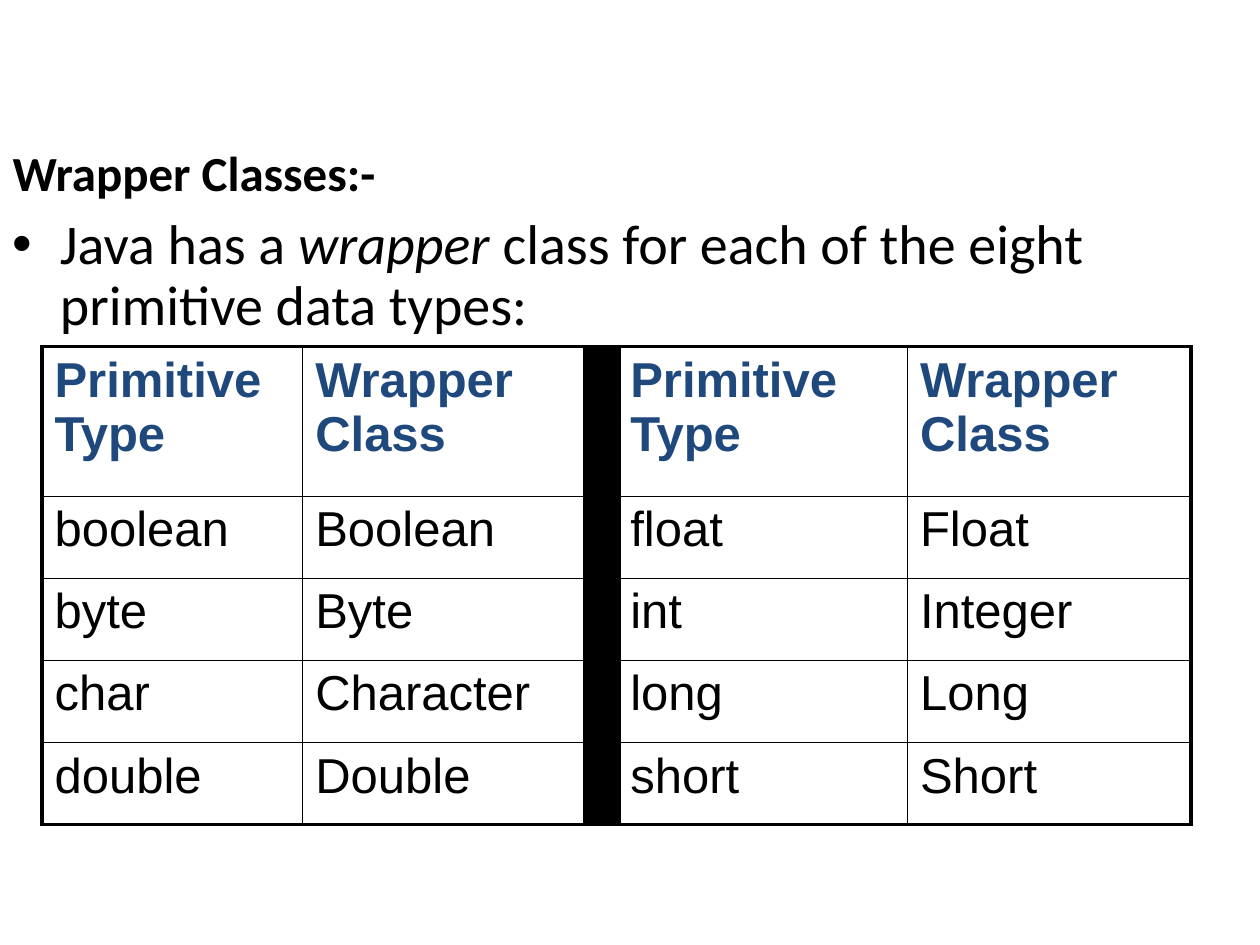
from dataclasses import dataclass

import pptx
import pptx.dml.color
import pptx.enum.text
import pptx.oxml
import pptx.oxml.ns
import pptx.util

Pt = pptx.util.Pt


@dataclass(frozen=True)
class Theme:
    ink: str = "000000"
    heading: str = "1F497D"
    text_font: str = "Calibri"
    table_font: str = "Arial"
    title_size: float = 28
    body_size: float = 32
    table_size: float = 28


@dataclass(frozen=True)
class Box:
    left: float
    top: float
    width: float
    height: float


@dataclass(frozen=True)
class TypePair:
    primitive: str
    wrapper: str


THEME = Theme()
TITLE_BOX = Box(0, 78, 720, 41)
BODY_BOX = Box(0, 120, 720, 78)
TABLE_BOX = Box(24, 198, 656.6, 273.2)
COLUMN_WIDTHS = (149, 162, 18, 165.6, 162)
ROW_HEIGHTS = (85.6, 46.9, 46.9, 46.9, 46.9)
VERTICAL_RULES = (2.25, 1, 4.5, 4.5, 1, 2.25)
HORIZONTAL_RULES = (2.25, 1, 1, 1, 1, 2.25)
DIVIDER_COLUMN = 2

HEADER = TypePair("Primitive Type", "Wrapper Class")
LEFT_PAIRS = (
    HEADER,
    TypePair("boolean", "Boolean"),
    TypePair("byte", "Byte"),
    TypePair("char", "Character"),
    TypePair("double", "Double"),
)
RIGHT_PAIRS = (
    HEADER,
    TypePair("float", "Float"),
    TypePair("int", "Integer"),
    TypePair("long", "Long"),
    TypePair("short", "Short"),
)


def color(value: str) -> pptx.dml.color.RGBColor:
    return pptx.dml.color.RGBColor.from_string(value)


def place(shape, box: Box) -> None:
    shape.left, shape.top = Pt(box.left), Pt(box.top)
    shape.width, shape.height = Pt(box.width), Pt(box.height)


def set_font(paragraph, name: str, size: float, ink: str, bold: bool = False) -> None:
    font = paragraph.font
    font.name, font.size, font.bold = name, Pt(size), bold
    font.color.rgb = color(ink)


def add_border(cell, side: str, width: float) -> None:
    namespace = pptx.oxml.ns.nsdecls("a")
    line = pptx.oxml.parse_xml(
        f'<a:ln{side} {namespace} w="{Pt(width)}"><a:solidFill>'
        f'<a:srgbClr val="{THEME.ink}"/></a:solidFill></a:ln{side}>'
    )
    cell._tc.get_or_add_tcPr().append(line)


def format_cell(cell, row: int, column: int, text: str) -> None:
    add_border(cell, "L", VERTICAL_RULES[column])
    add_border(cell, "R", VERTICAL_RULES[column + 1])
    add_border(cell, "T", HORIZONTAL_RULES[row])
    add_border(cell, "B", HORIZONTAL_RULES[row + 1])
    if column == DIVIDER_COLUMN:
        cell.fill.solid()
        cell.fill.fore_color.rgb = color(THEME.ink)
        return
    cell.fill.background()
    cell.text = text
    is_header = row == 0
    ink = THEME.heading if is_header else THEME.ink
    set_font(cell.text_frame.paragraphs[0], THEME.table_font, THEME.table_size, ink, is_header)


def add_title(slide) -> None:
    title = slide.shapes.title
    place(title, TITLE_BOX)
    frame = title.text_frame
    frame.text = "Wrapper Classes:-"
    frame.vertical_anchor = pptx.enum.text.MSO_ANCHOR.TOP
    paragraph = frame.paragraphs[0]
    paragraph.alignment = pptx.enum.text.PP_ALIGN.LEFT
    set_font(paragraph, THEME.text_font, THEME.title_size, THEME.ink, True)


def add_body(slide) -> None:
    body = slide.placeholders[1]
    place(body, BODY_BOX)
    body.text_frame.auto_size = pptx.enum.text.MSO_AUTO_SIZE.NONE
    paragraph = body.text_frame.paragraphs[0]
    paragraph.line_spacing = 0.9
    set_font(paragraph, THEME.text_font, THEME.body_size, THEME.ink)
    for text, italic in (
        ("Java has a ", False),
        ("wrapper", True),
        (" class for each of the eight primitive data types:", False),
    ):
        run = paragraph.add_run()
        run.text = text
        run.font.italic = italic


def add_type_table(slide) -> None:
    table = slide.shapes.add_table(
        len(ROW_HEIGHTS), len(COLUMN_WIDTHS),
        Pt(TABLE_BOX.left), Pt(TABLE_BOX.top), Pt(TABLE_BOX.width), Pt(TABLE_BOX.height),
    ).table
    table.first_row = table.horz_banding = False
    for column, width in zip(table.columns, COLUMN_WIDTHS):
        column.width = Pt(width)
    for row, height in zip(table.rows, ROW_HEIGHTS):
        row.height = Pt(height)
    for row, (left, right) in enumerate(zip(LEFT_PAIRS, RIGHT_PAIRS)):
        texts = (left.primitive, left.wrapper, "", right.primitive, right.wrapper)
        for column, text in enumerate(texts):
            format_cell(table.cell(row, column), row, column, text)


presentation = pptx.Presentation()
presentation.slide_width, presentation.slide_height = Pt(720), Pt(540)
slide = presentation.slides.add_slide(presentation.slide_layouts[1])
add_title(slide)
add_body(slide)
add_type_table(slide)
presentation.save("out.pptx")
